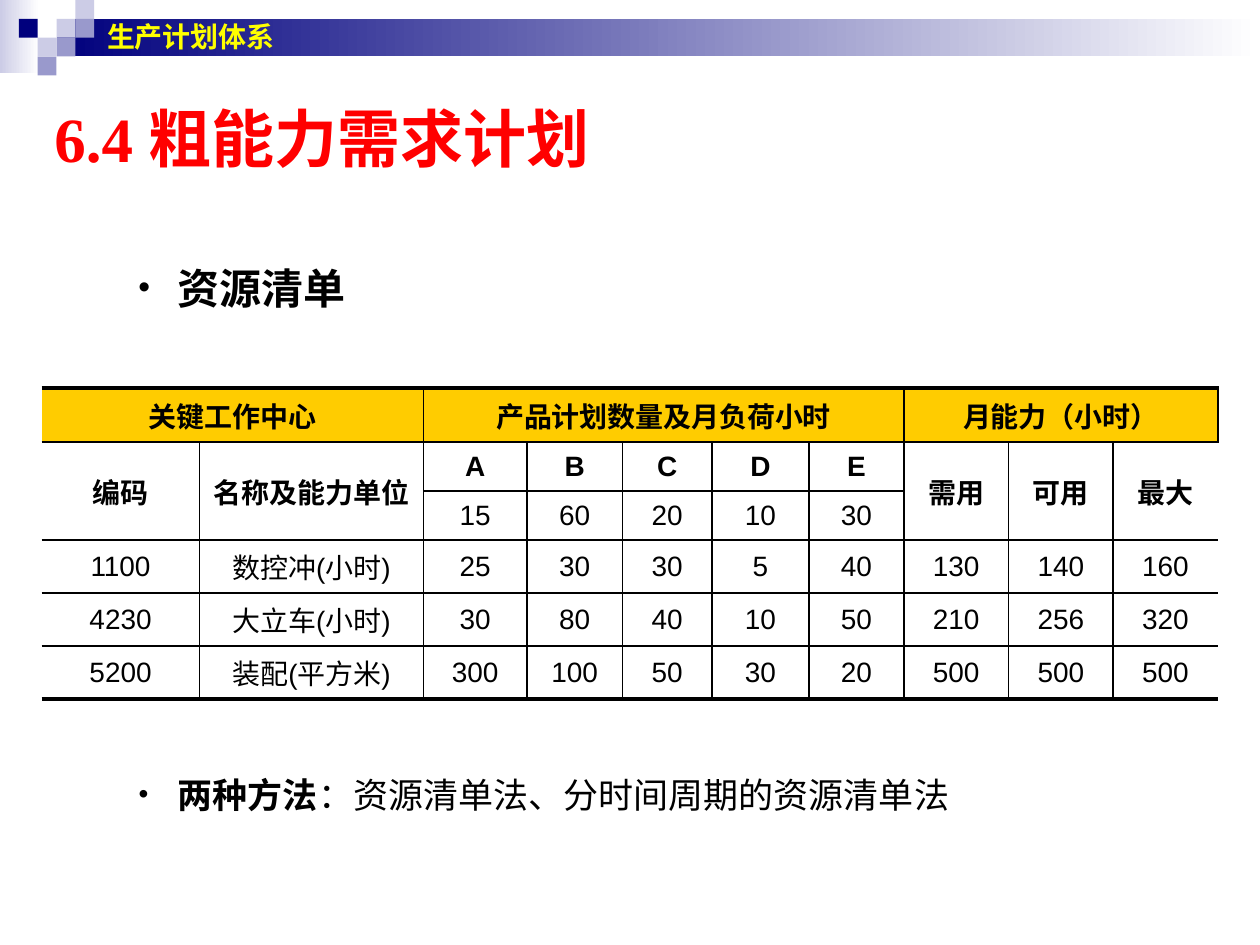
"""Build the rough-cut capacity planning slide with its bill-of-resources table."""
from lxml import etree
from pptx import Presentation
from pptx.dml.color import RGBColor
from pptx.enum.shapes import MSO_SHAPE
from pptx.enum.text import MSO_ANCHOR, MSO_AUTO_SIZE, PP_ALIGN
from pptx.oxml.ns import qn
from pptx.util import Cm, Pt

RECTANGLE = MSO_SHAPE.RECTANGLE
TOP, MIDDLE = MSO_ANCHOR.TOP, MSO_ANCHOR.MIDDLE
NO_FIT = MSO_AUTO_SIZE.NONE
CENTER = PP_ALIGN.CENTER

COLORS = {"navy": "00007D", "violet": "9999CC", "lilac": "CCCCE6", "white": "FFFFFF",
          "yellow": "FFFF00", "red": "FF0000", "black": "000000", "gold": "FFCC00"}
SANS, SERIF = "Arial", "Times New Roman"

HEADER = "生产计划体系"
TITLE = "6.4 粗能力需求计划"
LIST_HEADING = [("资源清单", True)]
METHODS = [("两种方法", True), ("：资源清单法、分时间周期的资源清单法", False)]

ROWS = [
    ["关键工作中心", "", "产品计划数量及月负荷小时", "", "", "", "", "月能力（小时）", "", ""],
    ["编码", "名称及能力单位", "A", "B", "C", "D", "E", "需用", "可用", "最大"],
    ["", "", "15", "60", "20", "10", "30", "", "", ""],
    ["1100", "数控冲(小时)", "25", "30", "30", "5", "40", "130", "140", "160"],
    ["4230", "大立车(小时)", "30", "80", "40", "10", "50", "210", "256", "320"],
    ["5200", "装配(平方米)", "300", "100", "50", "30", "20", "500", "500", "500"],
]
HEAD_ROWS = 2
HEAD_SPANS = [(0, 1), (2, 6), (7, 9)]
TALL_COLUMNS = [0, 1, 7, 8, 9]
COLUMN_WIDTHS = [3.18, 4.52, 2.08, 1.93, 1.8, 1.96, 1.91, 2.11, 2.11, 2.11]
ROW_HEIGHTS = [1.09, 0.99, 0.99, 0.99, 0.99, 1.04]
THIN, THICK = 1, 2.25

TILE = 0.38
TILES = [(3, 1, "lilac"), (4, 0, "lilac"), (4, 1, "violet"), (2, 2, "lilac"),
         (1, 1, "navy"), (3, 2, "violet"), (2, 3, "violet")]
BANDS = [((0, 0, 0.79, 1.47), "lilac"), ((3 * TILE, TILE, 24.26, 2 * TILE), "navy")]


def rgb(name):
    return RGBColor.from_string(COLORS[name])


def style(font, size, face, color, bold):
    font.size, font.name, font.bold = Pt(size), face, bold
    font.color.rgb = rgb(color)


def place(box, left, top, width, height):
    box.left, box.top, box.width, box.height = Cm(left), Cm(top), Cm(width), Cm(height)


def add_block(slide, area, color, fade=False):
    block = slide.shapes.add_shape(RECTANGLE, *map(Cm, area))
    block.shadow.inherit = False
    block.line.fill.background()
    if fade:
        block.fill.gradient()
        block.fill.gradient_angle = 0
        for stop, name in zip(block.fill.gradient_stops, (color, "white")):
            stop.color.rgb = rgb(name)
    else:
        block.fill.solid()
        block.fill.fore_color.rgb = rgb(color)


def write_line(box, anchor, spans, size, face, color):
    frame = box.text_frame
    frame.word_wrap, frame.auto_size, frame.vertical_anchor = True, NO_FIT, anchor
    para = frame.paragraphs[0]
    for text, bold in spans:
        span = para.add_run()
        span.text = text
        style(span.font, size, face, color, bold)
    return para


def write_bullet(box, top, spans, size):
    place(box, 1.27, top, 23.06, 1.47)
    para = write_line(box, TOP, spans, size, SERIF, "black")
    para.level, para.line_spacing, para.space_before = 1, 1.5, Pt(0)
    properties = para._p.get_or_add_pPr()
    properties.set("marL", str(Cm(2.06)))
    properties.set("indent", str(Cm(-0.79)))
    color = etree.SubElement(properties, qn("a:buClr"))
    etree.SubElement(color, qn("a:srgbClr"), val=COLORS["black"])
    etree.SubElement(properties, qn("a:buSzPct"), val="80000")
    etree.SubElement(properties, qn("a:buFont"), typeface=SANS)
    etree.SubElement(properties, qn("a:buChar"), char="•")


def set_borders(cell, widths):
    properties = cell._tc.get_or_add_tcPr()
    for side, width in zip("LRTB", widths):
        line = etree.SubElement(properties, qn("a:ln" + side), w=str(Pt(width)))
        if width:
            fill = etree.SubElement(line, qn("a:solidFill"))
            etree.SubElement(fill, qn("a:srgbClr"), val=COLORS["black"])
        else:
            etree.SubElement(line, qn("a:noFill"))


def add_resource_table(slide):
    last_row, last_column = len(ROWS) - 1, len(COLUMN_WIDTHS) - 1
    frame = slide.shapes.add_table(last_row + 1, last_column + 1, Cm(0.84), Cm(7.82),
                                   Cm(sum(COLUMN_WIDTHS)), Cm(sum(ROW_HEIGHTS)))
    table = frame.table
    table.first_row = table.horz_banding = False
    for column, width in zip(table.columns, COLUMN_WIDTHS):
        column.width = Cm(width)
    for row, height in zip(table.rows, ROW_HEIGHTS):
        row.height = Cm(height)
    for r, texts in enumerate(ROWS):
        for c, text in enumerate(texts):
            cell = table.cell(r, c)
            set_borders(cell, (THIN if c else 0, THIN if c < last_column else 0,
                               THIN if r else THICK, THIN if r < last_row else THICK))
            cell.vertical_anchor = MIDDLE
            if r == 0:
                cell.fill.solid()
                cell.fill.fore_color.rgb = rgb("gold")
            else:
                cell.fill.background()
            para = cell.text_frame.paragraphs[0]
            para.text, para.alignment = text, CENTER
            style(para.font, 16, SANS, "black", r < HEAD_ROWS)
            for span in para.runs:
                style(span.font, 16, SANS, "black", r < HEAD_ROWS)
    for first, last in HEAD_SPANS:
        table.cell(0, first).merge(table.cell(0, last))
    for c in TALL_COLUMNS:
        table.cell(1, c).merge(table.cell(2, c))


def main():
    deck = Presentation()
    deck.slide_width, deck.slide_height = Cm(25.4), Cm(19.05)
    page = deck.slides.add_slide(deck.slide_layouts[1])
    for area, color in BANDS:
        add_block(page, area, color, fade=True)
    for column, row, color in TILES:
        add_block(page, (column * TILE, row * TILE, TILE, TILE), color)

    header = page.shapes.add_textbox(Cm(1.91), Cm(0), Cm(22.43), Cm(1.47))
    write_line(header, MIDDLE, [(HEADER, True)], 16, SANS, "yellow")

    title = page.shapes.title
    place(title, 0.84, 1.91, 22.86, 1.7)
    para = write_line(title, MIDDLE, [(TITLE, True)], 36, SERIF, "red")
    para.alignment = PP_ALIGN.LEFT

    heading = page.shapes.add_textbox(0, 0, 0, 0)
    write_bullet(heading, 4.65, LIST_HEADING, 24)
    add_resource_table(page)
    write_bullet(page.placeholders[1], 15.04, METHODS, 20)
    deck.save("out.pptx")


if __name__ == "__main__":
    main()
